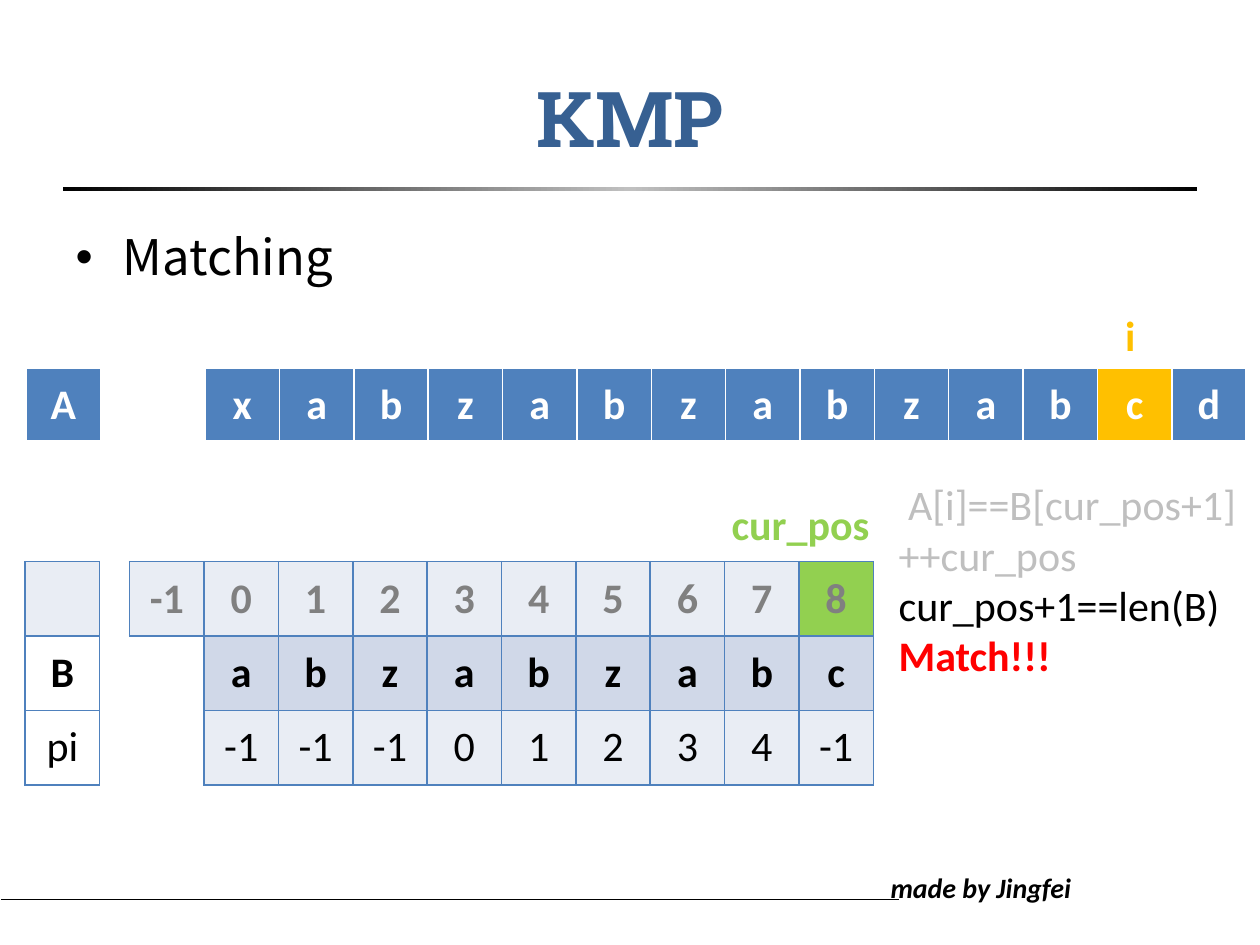
from copy import deepcopy

from lxml import etree
from pptx import Presentation
from pptx.dml.color import RGBColor
from pptx.enum.shapes import MSO_CONNECTOR, MSO_SHAPE
from pptx.enum.text import MSO_ANCHOR, PP_ALIGN
from pptx.oxml.ns import qn
from pptx.util import Pt

STRAIGHT = MSO_CONNECTOR.STRAIGHT
RECTANGLE = MSO_SHAPE.RECTANGLE
MIDDLE = MSO_ANCHOR.MIDDLE
TOP = MSO_ANCHOR.TOP
CENTER = PP_ALIGN.CENTER
LEFT = PP_ALIGN.LEFT

COLORS = {
    "black": "000000", "white": "FFFFFF", "silver": "C0C0C0",
    "title": "376092", "blue": "4F81BD", "amber": "FFC000",
    "green": "92D050", "pale": "E9EDF4", "band": "D0D8E8",
    "index": "808080", "faded": "BFBFBF", "red": "FF0000",
}
CELL = 42.5
GAP = 17


def style_text(paragraph, color, size=24, bold=False, italic=False,
               name="Calibri", align=LEFT):
    paragraph.alignment = align
    for run in paragraph.runs:
        run.font.name = name
        run.font.size = Pt(size)
        run.font.bold = bold
        run.font.italic = italic
        run.font.color.rgb = RGBColor.from_string(COLORS[color])


def style_cell(cell, text, color, bold, fill, borders):
    """Borders maps sides (L, R, T, B) to (color, width); other sides stay bare."""
    cell.vertical_anchor = MIDDLE
    if text:
        cell.text_frame.text = text
        style_text(cell.text_frame.paragraphs[0], color, bold=bold, align=CENTER)
    if fill:
        cell.fill.solid()
        cell.fill.fore_color.rgb = RGBColor.from_string(COLORS[fill])
    else:
        cell.fill.background()
    properties = cell._tc.get_or_add_tcPr()
    for position, side in enumerate("LRTB"):
        line = etree.Element(qn(f"a:ln{side}"))
        if side in borders:
            line_color, width = borders[side]
            line.set("w", str(Pt(width)))
            solid = etree.SubElement(line, qn("a:solidFill"))
            etree.SubElement(solid, qn("a:srgbClr"), val=COLORS[line_color])
        else:
            etree.SubElement(line, qn("a:noFill"))
        properties.insert(position, line)


presentation = Presentation()
presentation.slide_width = Pt(720)
presentation.slide_height = Pt(540)
slide = presentation.slides.add_slide(presentation.slide_layouts[1])
shapes = slide.shapes

# Footer line
footer_line = shapes.add_connector(STRAIGHT, Pt(0.5), Pt(514), Pt(513.5), Pt(514))
footer_line.line.color.rgb = RGBColor.from_string(COLORS["black"])
footer_line.line.width = Pt(0.5)
etree.SubElement(footer_line._element.spPr, qn("a:effectLst"))

# Gradient rule under the title
rule = shapes.add_shape(RECTANGLE, Pt(36), Pt(106.8), Pt(648), Pt(2.2))
rule.shadow.inherit = False
rule.line.fill.background()
rule.fill.gradient()
rule.fill.gradient_angle = 0
stop_list = rule._element.spPr.find(".//" + qn("a:gsLst"))
stop_list.insert(1, deepcopy(stop_list[0]))
for stop, position, color in zip(rule.fill.gradient_stops, (0, 0.5, 1),
                                 ("black", "silver", "black")):
    stop.position = position
    stop.color.rgb = RGBColor.from_string(COLORS[color])

# Title
title = shapes.title
title.left, title.top, title.width, title.height = Pt(36), Pt(21.6), Pt(648), Pt(90)
title.text_frame.text = "KMP"
title.text_frame.vertical_anchor = MIDDLE
style_text(title.text_frame.paragraphs[0], "title", 44, bold=True,
           name="Roboto Slab", align=CENTER)

# Bullet list
body = slide.placeholders[1]
body.left, body.top, body.width, body.height = Pt(36), Pt(126), Pt(684), Pt(393)
body.text_frame.text = "Matching"
body.text_frame.vertical_anchor = TOP
bullet = body.text_frame.paragraphs[0]
bullet_properties = bullet._p.get_or_add_pPr()
bullet_properties.set("marL", str(Pt(27)))
bullet_properties.set("indent", str(Pt(-27)))
etree.SubElement(bullet_properties, qn("a:buChar"), char="•")
bullet.space_before = Pt(0)
style_text(bullet, "black", 28, name="Noto Sans CJK SC")

# Tables: text A on top, pattern B with its pi values below
text_rows = [["A", "", ""] + list("xabzabzabzabcd")]
pattern_rows = [
    ["", "", "-1"] + [str(number) for number in range(9)],
    ["B", "", ""] + list("abzabzabc"),
    ["pi", "", "", "-1", "-1", "-1", "0", "1", "2", "3", "4", "-1"],
]
tables = []
for rows, left, top in ((text_rows, 15, 210.5), (pattern_rows, 14.4, 321)):
    columns = len(rows[0])
    width = (columns - 1) * CELL + GAP
    table = shapes.add_table(len(rows), columns, Pt(left), Pt(top),
                             Pt(width), Pt(CELL * len(rows))).table
    table.first_row = False
    table.horz_banding = False
    for index, column in enumerate(table.columns):
        column.width = Pt(GAP if index == 1 else CELL)
    for row in table.rows:
        row.height = Pt(CELL)
    tables.append(table)
text_table, pattern_table = tables

white_borders = {side: ("white", 3 if side == "B" else 1) for side in "LRTB"}
current_column = 15
for index, text in enumerate(text_rows[0]):
    fill = "amber" if index == current_column else "blue" if text else None
    style_cell(text_table.cell(0, index), text, "white", True, fill, white_borders)

# Sides drawn around the empty cells; every other cell has all four
open_sides = {(0, 1): "LR", (1, 1): "L", (2, 1): "L", (1, 2): "TR", (2, 2): "R"}
row_styles = [("index", True, "pale"), ("black", True, "band"), ("black", False, "pale")]
for row, (color, bold, row_fill) in enumerate(row_styles):
    for column, text in enumerate(pattern_rows[row]):
        fill = row_fill if text and column > 1 or (row, column) == (0, 0) else None
        if text == "8":
            fill = "green"
        sides = open_sides.get((row, column), "LRTB")
        style_cell(pattern_table.cell(row, column), text, color, bold, fill,
                   {side: ("blue", 1) for side in sides})

# Matching steps, pointer labels and footer: left, top, width, height, size, italic, lines
text_boxes = [
    (506.4, 270, 213, 124, 24, False, [
        ("A[i]==B[cur_pos+1]", "faded", False), ("++cur_pos", "faded", False),
        ("cur_pos+1==len(B)", "black", False), ("Match!!!", "red", True)]),
    (635.8, 173.5, 21, 36, 24, False, [("i", "amber", True)]),
    (411, 281.5, 103, 36, 24, False, [("cur_pos", "green", True)]),
    (501.8, 494, 120, 26.6, 16, True, [("made by Jingfei", "black", True)]),
]
for left, top, width, height, size, italic, lines in text_boxes:
    box = shapes.add_textbox(Pt(left), Pt(top), Pt(width), Pt(height))
    box.text_frame.word_wrap = False
    box.text_frame.text = "\n".join(line[0] for line in lines)
    for paragraph, (text, color, bold) in zip(box.text_frame.paragraphs, lines):
        style_text(paragraph, color, size, bold, italic)
        if text.startswith("A[i]"):
            paragraph._p.get_or_add_pPr().set("indent", str(Pt(5.4)))

presentation.save("out.pptx")
